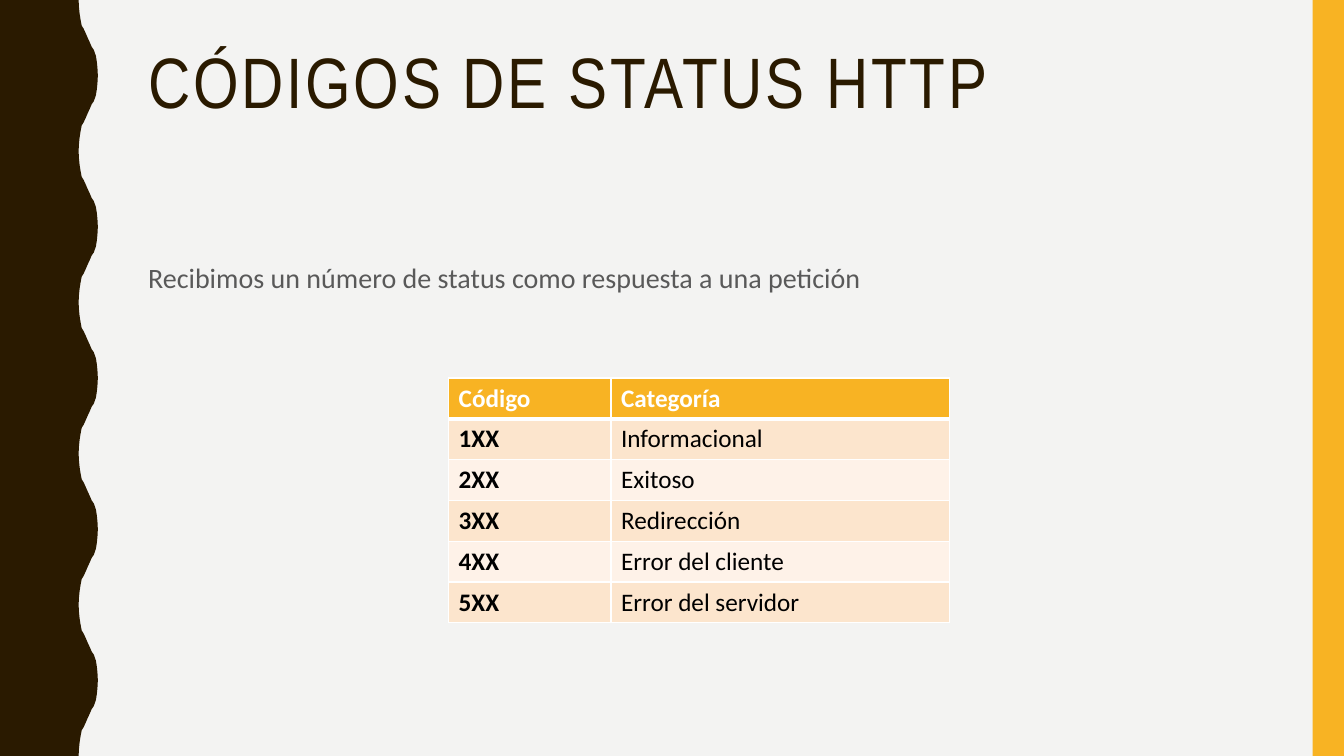
"""Build a slide that lists the categories of HTTP status codes."""
from dataclasses import dataclass

import lxml.etree
import pptx
import pptx.dml.color
import pptx.enum.shapes
import pptx.enum.text
import pptx.oxml.ns
import pptx.util

SLIDE_WIDTH = pptx.util.Inches(13.33)
SLIDE_HEIGHT = pptx.util.Inches(7.5)
COLOURS = {
    "background": "F3F3F2",
    "brown": "2A1A00",
    "amber": "F8B323",
    "grey": "595959",
    "white": "FFFFFF",
    "black": "000000",
    "dark_band": "FCE5CD",
    "light_band": "FEF2E8",
}
WAVE_COUNT = 5
WAVE_TROUGH = 5.85
WAVE_DEPTH = 1.43
HALF_WAVE = [
    (0, 0), (0.02, 0.05), (0.05, 0.09), (0.1, 0.13), (0.16, 0.17),
    (0.26, 0.19), (0.37, 0.22), (0.47, 0.25), (0.58, 0.28), (0.68, 0.31),
    (0.79, 0.33), (0.9, 0.37), (0.95, 0.41), (0.98, 0.45), (1, 0.5),
]
STATUS_ROWS = [
    ("Código", "Categoría"),
    ("1XX", "Informacional"),
    ("2XX", "Exitoso"),
    ("3XX", "Redirección"),
    ("4XX", "Error del cliente"),
    ("5XX", "Error del servidor"),
]
COLUMN_WIDTHS = [12.08, 25.2]


@dataclass(frozen=True)
class Area:
    """Hold a rectangle in percent of the slide's width and height."""

    left: float
    top: float
    width: float
    height: float

    def box(self) -> tuple[int, int, int, int]:
        """Return the rectangle as slide lengths."""
        return (across(self.left), down(self.top),
                across(self.width), down(self.height))


@dataclass(frozen=True)
class TextBlock:
    """Describe a one-paragraph text box."""

    text: str
    area: Area
    font: str
    size: int
    colour: str
    line_spacing: float
    space_before: int = 0
    letter_spacing: int = 0


TEXT_BLOCKS = [
    TextBlock("CÓDIGOS DE STATUS HTTP", Area(10.28, 5.6, 83.5, 21.73),
              "Arial Narrow", 51, "brown", 0.9, letter_spacing=2),
    TextBlock("Recibimos un número de status como respuesta a una petición",
              Area(10.28, 33.33, 83.5, 52.4),
              "Calibri", 20, "grey", 1.1, space_before=7),
]
SIDE_BAR = Area(97.67, 0, 2.33, 100)
TABLE_AREA = Area(33.38, 50, sum(COLUMN_WIDTHS), 32.4)


def across(percent: float) -> int:
    """Convert a percentage of the slide's width to a length."""
    return round(SLIDE_WIDTH * percent / 100)


def down(percent: float) -> int:
    """Convert a percentage of the slide's height to a length."""
    return round(SLIDE_HEIGHT * percent / 100)


def colour_of(name: str) -> pptx.dml.color.RGBColor:
    """Look up a named colour."""
    return pptx.dml.color.RGBColor.from_string(COLOURS[name])


def paint(shape, colour: str) -> None:
    """Give a shape a flat fill without line or shadow."""
    shape.shadow.inherit = False
    shape.fill.solid()
    shape.fill.fore_color.rgb = colour_of(colour)
    shape.line.fill.background()


def format_run(run, font: str, size: int, colour: str, bold: bool) -> None:
    """Set the typeface, size, colour and weight of a run."""
    run.font.name = font
    run.font.size = pptx.util.Pt(size)
    run.font.color.rgb = colour_of(colour)
    run.font.bold = bold


def draw_wave(slide) -> None:
    """Draw the left panel with its wavy right edge."""
    mirrored = [(x, 1 - y) for x, y in reversed(HALF_WAVE[1:-1])]
    period = 100 / WAVE_COUNT
    edge = [
        (across(WAVE_TROUGH + WAVE_DEPTH * x), down((wave + y) * period))
        for wave in range(WAVE_COUNT)
        for x, y in HALF_WAVE + mirrored
    ]
    corners = [(across(WAVE_TROUGH), SLIDE_HEIGHT), (0, SLIDE_HEIGHT)]
    builder = slide.shapes.build_freeform(0, 0)
    builder.add_line_segments(edge + corners, close=True)
    paint(builder.convert_to_shape(), "brown")


def draw_side_bar(slide) -> None:
    """Draw the bar at the right edge."""
    rectangle = pptx.enum.shapes.MSO_SHAPE.RECTANGLE
    paint(slide.shapes.add_shape(rectangle, *SIDE_BAR.box()), "amber")


def draw_text(slide, block: TextBlock) -> None:
    """Draw a text block."""
    text_frame = slide.shapes.add_textbox(*block.area.box()).text_frame
    text_frame.word_wrap = True
    text_frame.vertical_anchor = pptx.enum.text.MSO_ANCHOR.TOP
    text_frame.text = block.text
    paragraph = text_frame.paragraphs[0]
    paragraph.line_spacing = block.line_spacing
    paragraph.space_before = pptx.util.Pt(block.space_before)
    run = paragraph.runs[0]
    format_run(run, block.font, block.size, block.colour, False)
    if block.letter_spacing:
        run.font._element.set("spc", str(block.letter_spacing * 100))


def draw_border(cell, side: str, width: int) -> None:
    """Add a white border to one side of a cell."""
    properties = cell._tc.get_or_add_tcPr()
    qualify = pptx.oxml.ns.qn
    line = lxml.etree.SubElement(properties, qualify(f"a:ln{side}"),
                                 w=str(pptx.util.Pt(width)))
    fill = lxml.etree.SubElement(line, qualify("a:solidFill"))
    lxml.etree.SubElement(fill, qualify("a:srgbClr"), val=COLOURS["white"])


def draw_cell(cell, text: str, row: int, column: int) -> None:
    """Fill, border and label one cell of the status table."""
    is_header = row == 0
    widths = {"L": 1, "R": 1, "T": 3 if row == 1 else 1,
              "B": 3 if is_header else 1}
    for side, width in widths.items():
        draw_border(cell, side, width)
    band = "dark_band" if row % 2 else "light_band"
    cell.fill.solid()
    cell.fill.fore_color.rgb = colour_of("amber" if is_header else band)
    cell.text_frame.text = text
    format_run(cell.text_frame.paragraphs[0].runs[0], "Calibri", 18,
               "white" if is_header else "black", is_header or column == 0)


def draw_table(slide) -> None:
    """Draw the table of status codes."""
    table = slide.shapes.add_table(
        len(STATUS_ROWS), len(COLUMN_WIDTHS), *TABLE_AREA.box()).table
    for column, width in zip(table.columns, COLUMN_WIDTHS):
        column.width = across(width)
    for row, texts in enumerate(STATUS_ROWS):
        for column, text in enumerate(texts):
            draw_cell(table.cell(row, column), text, row, column)


def main() -> None:
    """Build and save the presentation."""
    presentation = pptx.Presentation()
    presentation.slide_width = SLIDE_WIDTH
    presentation.slide_height = SLIDE_HEIGHT
    slide = presentation.slides.add_slide(presentation.slide_layouts[6])
    slide.background.fill.solid()
    slide.background.fill.fore_color.rgb = colour_of("background")
    draw_wave(slide)
    draw_side_bar(slide)
    for block in TEXT_BLOCKS:
        draw_text(slide, block)
    draw_table(slide)
    presentation.save("out.pptx")


if __name__ == "__main__":
    main()
